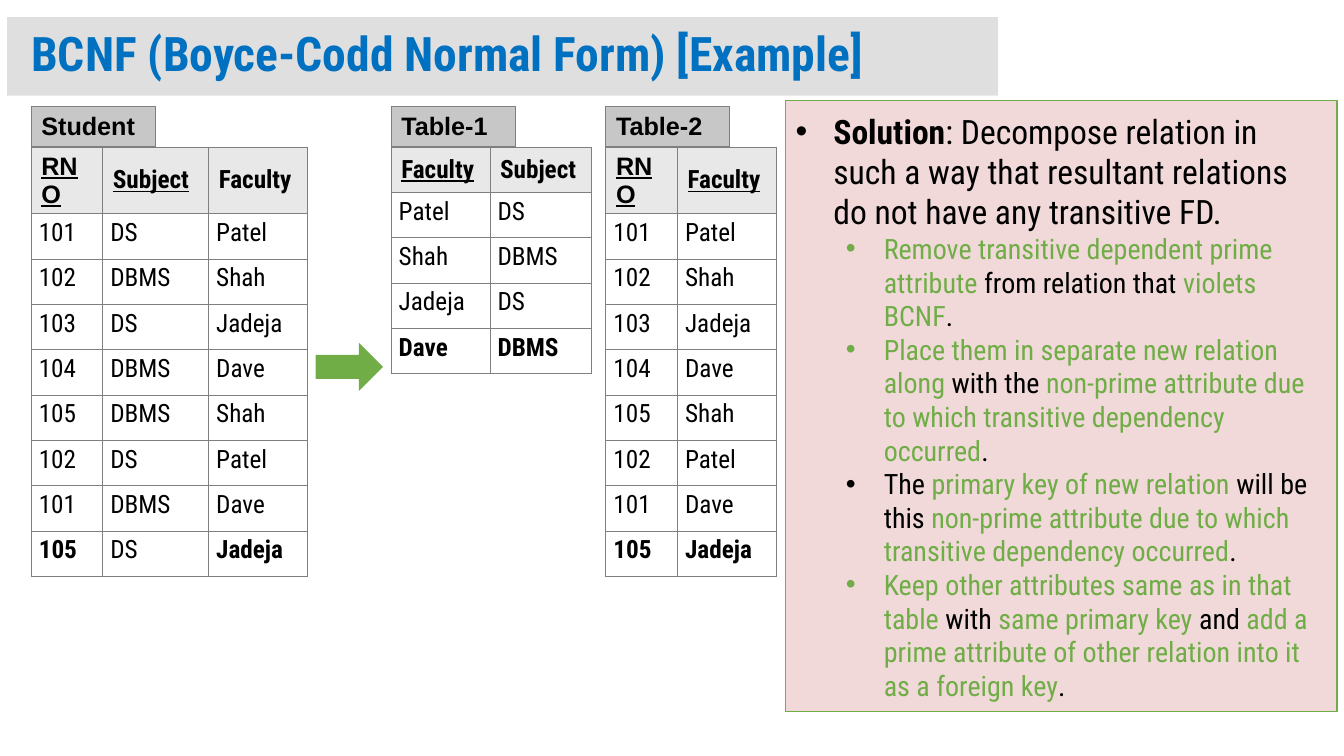
import lxml.etree
import pptx
import pptx.dml.color
import pptx.enum.shapes
import pptx.enum.text
import pptx.oxml.ns
import pptx.util

COLORS = {
    "black": "000000", "white": "FFFFFF", "blue": "0070C0", "green": "70AD47",
    "banner": "C0C0C0", "label": "C7C7C7", "header": "E8E8E8",
    "border": "7F7F7F", "panel": "F0D9D8",
}
CONDENSED, PLAIN = "Roboto Condensed", "Arial"
MIDDLE, TOP = pptx.enum.text.MSO_ANCHOR.MIDDLE, pptx.enum.text.MSO_ANCHOR.TOP
COLUMNS, ROWS = 133.3, 75  # grid units across and down the slide
UNIT = pptx.util.Inches(0.1)


def grid(units):
    return round(units * UNIT)


def rgb(name):
    return pptx.dml.color.RGBColor.from_string(COLORS[name])


def add_element(parent, tag, **attributes):
    return lxml.etree.SubElement(parent, pptx.oxml.ns.qn(tag), attributes)


class SlideBuilder:
    def __init__(self, presentation):
        self.slide = presentation.slides.add_slide(presentation.slide_layouts[1])

    def style_font(self, font, size=18, name=CONDENSED, color="black", bold=False, underline=False):
        font.size, font.name = pptx.util.Pt(size), name
        font.bold, font.underline = bold, underline
        font.color.rgb = rgb(color)

    def place(self, shape, box):
        shape.left, shape.top, shape.width, shape.height = map(grid, box)

    def set_frame(self, frame, horizontal, vertical):
        frame.margin_left = frame.margin_right = grid(horizontal)
        frame.margin_top = frame.margin_bottom = grid(vertical)
        frame.vertical_anchor = MIDDLE
        frame.word_wrap = True
        frame.auto_size = pptx.enum.text.MSO_AUTO_SIZE.NONE

    def title(self, text, box):
        shape = self.slide.shapes.title
        self.place(shape, box)
        shape.fill.solid()
        shape.fill.fore_color.rgb = rgb("banner")
        color = next(shape.element.spPr.iter(pptx.oxml.ns.qn("a:srgbClr")))
        add_element(color, "a:alpha", val="50000")
        self.set_frame(shape.text_frame, 2.4, 1.2)
        paragraph = shape.text_frame.paragraphs[0]
        paragraph.text = text
        paragraph.alignment = pptx.enum.text.PP_ALIGN.LEFT
        paragraph.line_spacing = 0.9
        self.style_font(paragraph.font, 34, color="blue", bold=True)

    def bullet(self, paragraph, level, color):
        paragraph.level = level
        paragraph.space_before = pptx.util.Pt(0)
        properties = paragraph._p.get_or_add_pPr()
        properties.set("marL", str(grid(3.75 + 5 * level)))
        properties.set("indent", str(-grid(3.75)))
        add_element(add_element(properties, "a:buClr"), "a:srgbClr", val=COLORS[color])
        add_element(properties, "a:buFont", typeface=PLAIN)
        add_element(properties, "a:buChar", char="•")

    def panel(self, items, box):
        shape = self.slide.placeholders[1]
        self.place(shape, box)
        shape.fill.solid()
        shape.fill.fore_color.rgb = rgb("panel")
        shape.line.color.rgb = rgb("green")
        shape.line.width = pptx.util.Pt(1)
        frame = shape.text_frame
        self.set_frame(frame, 1, 1)
        for index, (level, spans) in enumerate(items):
            paragraph = frame.add_paragraph() if index else frame.paragraphs[0]
            self.bullet(paragraph, level, spans[0][1])
            for text, color, *bold in spans:
                run = paragraph.add_run()
                run.text = text
                self.style_font(run.font, 20 if level else 24, color=color, bold=bool(bold))

    def cell(self, cell, text, fill, heading, **font):
        cell.text = text
        cell.vertical_anchor = MIDDLE if heading else TOP
        cell.margin_left = cell.margin_right = grid(1 if heading else 0.75)
        cell.margin_top = cell.margin_bottom = grid(0.5 if heading else 0)
        paragraph = cell.text_frame.paragraphs[0]
        if not heading:
            paragraph.line_spacing = 1.15
        self.style_font(paragraph.font, **font)
        properties = cell._tc.get_or_add_tcPr()
        for side in "LRTB":
            line = add_element(properties, f"a:ln{side}", w=str(pptx.util.Pt(0.75)))
            add_element(add_element(line, "a:solidFill"), "a:srgbClr", val=COLORS["border"])
        cell.fill.solid()
        cell.fill.fore_color.rgb = rgb(fill)

    def table(self, left, top, widths, row_height, row_count):
        frame = self.slide.shapes.add_table(
            row_count, len(widths), grid(left), grid(top),
            grid(sum(widths)), grid(row_height * row_count))
        table = frame.table
        table.first_row = table.horz_banding = False
        for column, width in zip(table.columns, widths):
            column.width = grid(width)
        for row in table.rows:
            row.height = grid(row_height)
        return table

    def relation(self, name, left, widths, headers, keys, records, bold_fields):
        """A name tag above its table; key headers are underlined."""
        tag = self.table(left, 10.6, [12.3], 3.9, 1)
        self.cell(tag.cell(0, 0), name, "label", True, name=PLAIN, bold=True)
        table = self.table(left, 14.6, widths, 4.5, len(records) + 1)
        for column, header in enumerate(headers):
            self.cell(table.cell(0, column), header, "header", True, bold=True,
                      name=PLAIN if header == "RNO" else CONDENSED, underline=header in keys)
        for row, record in enumerate(records, 1):
            for column, value in enumerate(record):
                bold = row == len(records) and headers[column] in bold_fields
                self.cell(table.cell(row, column), value, "white", False, bold=bold)

    def arrow(self, box):
        shape = self.slide.shapes.add_shape(
            pptx.enum.shapes.MSO_SHAPE.RIGHT_ARROW, *map(grid, box))
        shape.shadow.inherit = False
        shape.fill.solid()
        shape.fill.fore_color.rgb = rgb("green")
        shape.line.fill.background()


STUDENTS = [
    ("101", "DS", "Patel"), ("102", "DBMS", "Shah"), ("103", "DS", "Jadeja"),
    ("104", "DBMS", "Dave"), ("105", "DBMS", "Shah"), ("102", "DS", "Patel"),
    ("101", "DBMS", "Dave"), ("105", "DS", "Jadeja"),
]
FACULTY_SUBJECTS = [("Patel", "DS"), ("Shah", "DBMS"), ("Jadeja", "DS"), ("Dave", "DBMS")]
SOLUTION = [
    (0, [("Solution", "black", True),
         (": Decompose relation in such a way that resultant relations "
          "do not have any transitive FD.", "black")]),
    (1, [("Remove transitive dependent prime attribute", "green"),
         (" from relation that ", "black"), ("violets BCNF", "green"), (".", "black")]),
    (1, [("Place them in separate new relation along ", "green"), ("with the ", "black"),
         ("non-prime attribute due to which transitive dependency occurred", "green"),
         (".", "black")]),
    (1, [("The ", "black"), ("primary key of new relation ", "green"),
         ("will be this ", "black"),
         ("non-prime attribute due to which transitive dependency occurred", "green"),
         (".", "black")]),
    (1, [("Keep other attributes same as in that table ", "green"), ("with", "black"),
         (" same primary key ", "green"), ("and", "black"),
         (" add a prime attribute of other relation into it as a foreign key", "green"),
         (".", "black")]),
]


def main():
    presentation = pptx.Presentation()
    presentation.slide_width, presentation.slide_height = grid(COLUMNS), grid(ROWS)
    builder = SlideBuilder(presentation)

    # Title and solution list
    builder.title("BCNF (Boyce-Codd Normal Form) [Example]", (0.7, 1.7, 98.3, 7.8))
    builder.panel(SOLUTION, (77.9, 10, 54.7, 60.6))

    # Relation before and after decomposition
    builder.relation("Student", 3.1, [7.1, 10.5, 9.8], ["RNO", "Subject", "Faculty"],
                     {"RNO", "Subject"}, STUDENTS, {"RNO", "Faculty"})
    builder.relation("Table-1", 38.8, [9.8, 10.1], ["Faculty", "Subject"],
                     {"Faculty"}, FACULTY_SUBJECTS, {"Faculty", "Subject"})
    builder.relation("Table-2", 60.1, [7.1, 9.8], ["RNO", "Faculty"], {"RNO", "Faculty"},
                     [(number, faculty) for number, _, faculty in STUDENTS],
                     {"RNO", "Faculty"})
    builder.arrow((31.3, 34, 6.7, 4.8))

    presentation.save("out.pptx")


if __name__ == "__main__":
    main()
